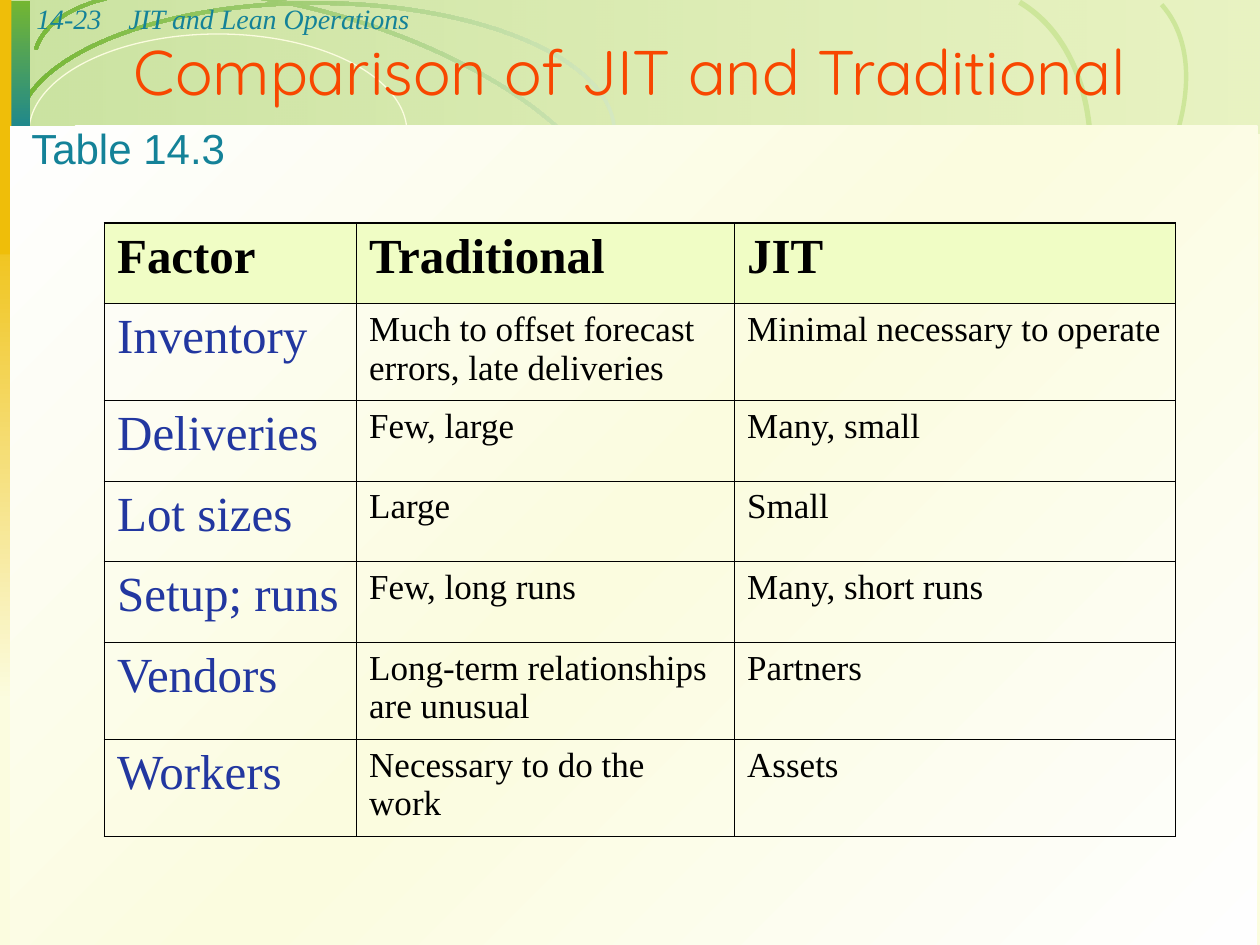
import pptx
import pptx.util
import pptx.dml.color
import pptx.enum.shapes
import pptx.enum.text
import pptx.oxml
import pptx.oxml.ns

COLORS = {
    "cream": "FBFCDF", "white": "FEFEFE", "leaf": "74B632", "lime": "BCDD7B",
    "mint": "D4E8C0", "pale": "CDE69A", "teal": "148298", "gold": "EFBE09",
    "orange": "F84700", "navy": "2237A0", "black": "000000", "header": "F0FDC5",
}
SERIF = "Times New Roman"
SHAPE = pptx.enum.shapes.MSO_SHAPE
ALIGN = pptx.enum.text.PP_ALIGN
ANCHOR = pptx.enum.text.MSO_ANCHOR
COLS, ROWS = 100, 75


def rgb(name):
    return pptx.dml.color.RGBColor.from_string(COLORS[name])


def xml(tag, body, attrs=""):
    ns = pptx.oxml.ns.nsdecls("a")
    return pptx.oxml.parse_xml(f"<a:{tag} {ns} {attrs}>{body}</a:{tag}>")


class Deck:
    """Holds the style and the current slide; lengths are grid columns and rows."""

    def __init__(self):
        self.prs = pptx.Presentation()
        self.prs.slide_width = pptx.util.Inches(10)
        self.prs.slide_height = pptx.util.Inches(7.5)
        self.s = self.prs.slides.add_slide(self.prs.slide_layouts[5])
        fill = self.s.background.fill
        fill.solid()
        fill.fore_color.rgb = rgb("cream")

    def x(self, cols):
        return round(self.prs.slide_width * cols / COLS)

    def y(self, rows):
        return round(self.prs.slide_height * rows / ROWS)

    def box(self, left, top, width, height):
        return self.x(left), self.y(top), self.x(width), self.y(height)

    def style(self, p, size, color, font=SERIF, bold=False, italic=False):
        for r in p.runs:
            f = r.font
            f.size, f.name, f.bold, f.italic = pptx.util.Pt(size), font, bold, italic
            f.color.rgb = rgb(color)

    def shape(self, kind, at, fill=None, line=None):
        sp = self.s.shapes.add_shape(kind, *self.box(*at))
        sp.shadow.inherit = False
        if fill:
            sp.fill.solid()
            sp.fill.fore_color.rgb = rgb(fill)
        else:
            sp.fill.background()
        if line:
            sp.line.color.rgb = rgb(line)
            sp.line.width = pptx.util.Pt(0.75)
        else:
            sp.line.fill.background()
        return sp

    def gradient(self, sp, names, angle, alphas=None):
        alphas = alphas or [100] * len(names)
        last = len(names) - 1
        stops = "".join(
            f'<a:gs pos="{100000 * i // last}"><a:srgbClr val="{COLORS[n]}">'
            f'<a:alpha val="{a * 1000}"/></a:srgbClr></a:gs>'
            for i, (n, a) in enumerate(zip(names, alphas)))
        body = f'<a:gsLst>{stops}</a:gsLst><a:lin ang="{angle * 60000}" scaled="0"/>'
        spPr = sp._element.spPr
        old = spPr.find(pptx.oxml.ns.qn("a:noFill"))
        spPr.replace(old, xml("gradFill", body, 'rotWithShape="1"'))

    def arc(self, at, rotation=0, fill=None, flip=False):
        sp = self.shape(SHAPE.BLOCK_ARC, at, fill)
        for i, value in enumerate((108, 0, 0.014)):
            sp.adjustments[i] = value
        sp.rotation = rotation
        if flip:
            sp._element.spPr.xfrm.set("flipV", "1")
        return sp

    def text(self, at, words, size, color, font=SERIF, italic=False, wrap=True):
        sp = self.s.shapes.add_textbox(*self.box(*at))
        tf = sp.text_frame
        tf.word_wrap = wrap
        tf.text = words
        self.style(tf.paragraphs[0], size, color, font, italic=italic)

    def title(self, at, words):
        sp = self.s.shapes.title
        sp.left, sp.top, sp.width, sp.height = self.box(*at)
        tf = sp.text_frame
        tf.text = words
        tf.word_wrap = True
        tf.auto_size = pptx.enum.text.MSO_AUTO_SIZE.NONE
        tf.vertical_anchor = ANCHOR.MIDDLE
        tf.paragraphs[0].alignment = ALIGN.CENTER
        self.style(tf.paragraphs[0], 36, "orange", "Quicksand")
        self.s.shapes._spTree.append(sp._element)  # in front of the backdrop

    def borders(self, cell, outer):
        tcPr = cell._tc.get_or_add_tcPr()
        for side in "LRTB":
            width = pptx.util.Pt(1.08 if side in outer else 0.45)
            line = f'<a:solidFill><a:srgbClr val="{COLORS["black"]}"/></a:solidFill>'
            tcPr.append(xml(f"ln{side}", line, f'w="{int(width)}"'))

    def table(self, left, top, widths, heights, data):
        at = self.box(left, top, sum(widths), sum(heights))
        tbl = self.s.shapes.add_table(len(data), len(widths), *at).table
        tbl.first_row = tbl.horz_banding = False
        for col, width in zip(tbl.columns, widths):
            col.width = self.x(width)
        for row, height in zip(tbl.rows, heights):
            row.height = self.y(height)
        for i, words in enumerate(data):
            for j, word in enumerate(words):
                cell = tbl.cell(i, j)
                edges = {"T": i == 0, "B": i == len(data) - 1,
                         "L": j == 0, "R": j == len(widths) - 1}
                self.borders(cell, [side for side, on in edges.items() if on])
                cell.text = word
                p = cell.text_frame.paragraphs[0]
                if i == 0:
                    cell.fill.solid()
                    cell.fill.fore_color.rgb = rgb("header")
                    self.style(p, 28, "black", bold=True)
                else:
                    cell.fill.background()
                    self.style(p, 28 if j == 0 else 20, "navy" if j == 0 else "black")


def main():
    d = Deck()

    # Header band with its arcs
    band = d.shape(SHAPE.RECTANGLE, (0.1, 0, 100, 10.6))
    d.gradient(band, ["lime", "leaf"], 180, [29, 36])
    tilted = d.arc((1.6, 1.1, 47.7, 19.9), 17.5)
    d.gradient(tilted, ["mint", "leaf"], 162)
    d.shape(SHAPE.OVAL, (2.3, 2.7, 30, 15.6), line="cream")
    side = d.shape(SHAPE.RECTANGLE, (0, 15.5, 2.2, 40.1))
    d.gradient(side, ["gold", "cream"], 90)
    d.arc((50.7, 3.2, 47.7, 25.9), 318.2, "pale", flip=True)
    d.arc((45, 5.2, 47.7, 30.6), 300.7, "pale", flip=True)
    level = d.arc((1.2, 0.1, 47.7, 20.7))
    d.gradient(level, ["mint", "leaf"], 180)

    # Left strips and the page panel
    strip = d.shape(SHAPE.RECTANGLE, (0.1, 0.1, 2.3, 11.4))
    d.gradient(strip, ["leaf", "teal"], 90)
    d.shape(SHAPE.RECTANGLE, (0, 0, 0.9, 20.2), "gold")
    panel = d.shape(SHAPE.RECTANGLE, (0.8, 10, 99, 65))
    d.gradient(panel, ["white", "cream", "white"], 225)

    # Running head, title and table label
    d.text((1.9, -0.4, 10.6, 3.7), "14-23", 16, "teal", italic=True)
    d.text((9.2, -0.4, 82.5, 3.7), "JIT and Lean Operations", 16, "teal", italic=True)
    d.title((0, 0.6, 100, 10), "Comparison of JIT and Traditional")

    # Comparison table
    short, tall = 6.4, 7.7
    d.table(8.3, 17.7, [20, 30, 35], [short, tall, short, short, short, tall, tall], [
        ("Factor", "Traditional", "JIT"),
        ("Inventory", "Much to offset forecast errors, late deliveries",
         "Minimal necessary to operate"),
        ("Deliveries", "Few, large", "Many, small"),
        ("Lot sizes", "Large", "Small"),
        ("Setup; runs", "Few, long runs", "Many, short runs"),
        ("Vendors", "Long-term relationships are unusual", "Partners"),
        ("Workers", "Necessary to do the work", "Assets"),
    ])
    d.text((1.5, 9.2, 17.7, 5), "Table 14.3", 24, "teal", "Arial", wrap=False)

    d.prs.save("out.pptx")


if __name__ == "__main__":
    main()
